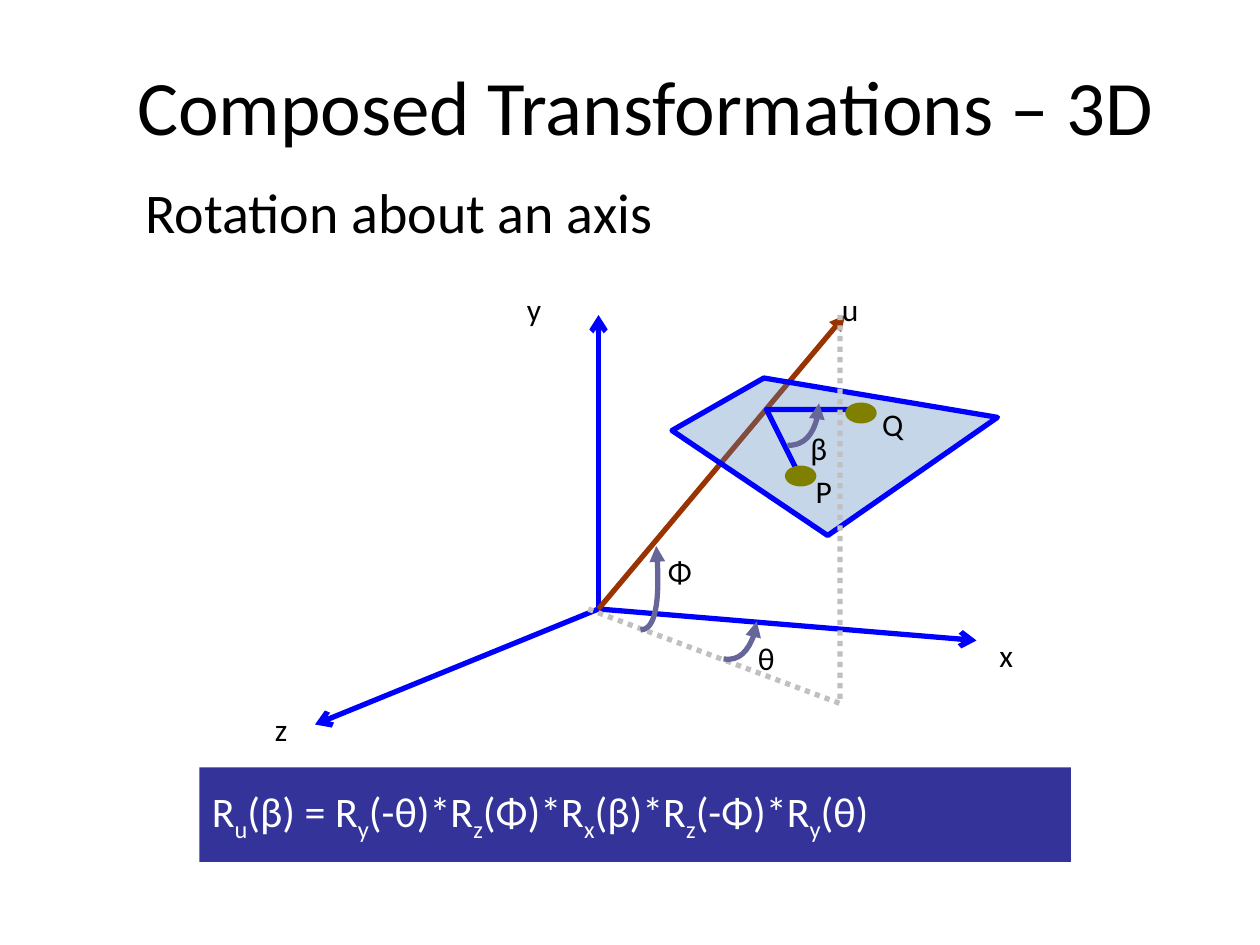
"""Build a slide on rotation about an axis in 3D."""
from dataclasses import dataclass
from lxml.etree import SubElement
from pptx import Presentation
from pptx.dml.color import RGBColor
from pptx.enum.dml import MSO_LINE
from pptx.enum.shapes import MSO_CONNECTOR, MSO_SHAPE
from pptx.enum.text import MSO_ANCHOR, PP_ALIGN
from pptx.oxml.ns import qn
from pptx.util import Pt


@dataclass(frozen=True)
class Theme:
    """Hold the colours, font and sizes."""
    font: str = "Calibri"
    ink: str = "000000"
    white: str = "FFFFFF"
    axis: str = "0000FF"
    ray: str = "993300"
    plane: str = "4F81BD"
    dot: str = "808000"
    arc: str = "666699"
    guide: str = "C0C0C0"
    bar: str = "333399"
    head: float = 44
    body: float = 32
    label: float = 18
    rule: float = 24
    line: float = 3


THEME = Theme()


def paint(fill, color, alpha=None):
    """Set a solid fill, with an optional opacity in percent."""
    fill.solid()
    fill.fore_color.rgb = RGBColor.from_string(color)
    if alpha is not None:
        tone = fill._xPr.find(qn("a:solidFill"))[0]
        SubElement(tone, qn("a:alpha"), val=str(alpha * 1000))


def stroke(line, color, tip=None):
    """Set the line colour and width, with an optional end arrow."""
    paint(line.fill, color)
    line.width = Pt(THEME.line)
    if tip:
        SubElement(line._get_or_add_ln(), qn("a:tailEnd"), type=tip)


def write(shape, runs, size, color, align=PP_ALIGN.LEFT, anchor=MSO_ANCHOR.TOP):
    """Add (text, is sub) runs to a shape and return the paragraph."""
    frame = shape.text_frame
    frame.word_wrap = True
    frame.vertical_anchor = anchor
    para = frame.paragraphs[0]
    para.alignment = align
    for text, sub in runs:
        run = para.add_run()
        run.text = text
        run.font.name = THEME.font
        run.font.size = Pt(size)
        run.font.color.rgb = RGBColor.from_string(color)
        if sub:
            run._r.get_or_add_rPr().set("baseline", "-25000")
    return para


def text(slide, box, words, size, **style):
    """Add a text box with one run."""
    shape = slide.shapes.add_textbox(*map(Pt, box))
    return write(shape, [(words, False)], size, THEME.ink, **style)


def arrow(slide, start, end, color, tip):
    """Add a straight arrow."""
    link = slide.shapes.add_connector(
        MSO_CONNECTOR.STRAIGHT, *map(Pt, start + end))
    stroke(link.line, color, tip)
    SubElement(link._element.spPr, qn("a:effectLst"))


def path(slide, points, color, close=False, tip=None):
    """Add an outline through the points, without a fill."""
    first, *rest = [(Pt(x), Pt(y)) for x, y in points]
    form = slide.shapes.build_freeform(*first)
    form.add_line_segments(rest, close=close)
    shape = form.convert_to_shape()
    shape.shadow.inherit = False
    shape.fill.background()
    stroke(shape.line, color, tip)
    return shape


def curve(slide, points):
    """Add a curved arrow from one start, two control and one end point."""
    shape = path(slide, points, THEME.arc, tip="triangle")
    track = next(shape._element.iter(qn("a:path")))
    bend = SubElement(track, qn("a:cubicBezTo"))
    for step in track.findall(qn("a:lnTo")):
        bend.append(step[0])
        track.remove(step)


def solid(slide, kind, box, color):
    """Add a filled shape without an outline."""
    shape = slide.shapes.add_shape(kind, *map(Pt, box))
    shape.shadow.inherit = False
    paint(shape.fill, color)
    shape.line.fill.background()
    return shape


def axes(slide):
    """Draw the three axes and the ray u."""
    base = (342, 348)
    for end in ((342, 180), (558, 366), (180, 414)):
        arrow(slide, base, end, THEME.axis, "arrow")
    arrow(slide, base, (483, 180), THEME.ray, "triangle")


def plane(slide):
    """Draw the plane with its two points and the guide lines."""
    quad = [(384, 246), (436.5, 216), (570, 223 + 15.5), (473, 306)]
    paint(path(slide, quad, THEME.axis, close=True).fill, THEME.plane, 32)
    path(slide, [(456, 270), (438, 234), (492, 234)], THEME.axis)
    for left, top in ((483, 230), (448.5, 266)):
        solid(slide, MSO_SHAPE.OVAL, (left, top, 18, 12), THEME.dot)
    guide = path(slide, [(480, 180), (480, 402), (336, 348)], THEME.guide)
    guide.line.dash_style = MSO_LINE.ROUND_DOT


def arcs(slide):
    """Draw the three angle arrows."""
    for points in (
        [(450, 254.5), (460, 254.5), (468, 244), (468, 230.5)],
        [(366, 360), (373, 360), (378, 347), (375, 312)],
        [(413.5, 376.5), (422.5, 378), (431.5, 368), (432.5, 355)],
    ):
        curve(slide, points)


def labels(slide):
    """Name the axes, angles and points."""
    for words, left, top in (
        ("P", 459, 266), ("Q", 497, 228), ("u", 474, 162),
        ("Φ", 374.5, 312), ("θ", 426, 361.5), ("β", 456, 241.5),
        ("x", 564, 360), ("y", 294, 162), ("z", 150, 402),
    ):
        text(slide, (left, top, 30, 29), words, THEME.label)


def rule(slide):
    """Add the bar with the formula."""
    bar = solid(slide, MSO_SHAPE.RECTANGLE, (114, 438.5, 498, 54), THEME.bar)
    parts = ("R", "u", "(β) = R", "y", "(-θ)*R", "z", "(Φ)*R", "x",
             "(β)*R", "z", "(-Φ)*R", "y", "(θ)")
    runs = [(part, spot % 2 == 1) for spot, part in enumerate(parts)]
    write(bar, runs, THEME.rule, THEME.white, anchor=MSO_ANCHOR.MIDDLE)


def main():
    """Build and save the slide."""
    deck = Presentation()
    deck.slide_width, deck.slide_height = Pt(720), Pt(540)
    slide = deck.slides.add_slide(deck.slide_layouts[6])
    text(slide, (18, 30, 702, 60), "Composed Transformations – 3D",
         THEME.head, align=PP_ALIGN.CENTER, anchor=MSO_ANCHOR.MIDDLE)
    para = text(slide, (54, 102, 348, 42), "Rotation about an axis",
                THEME.body, align=PP_ALIGN.CENTER)
    para.line_spacing = 0.9
    for draw in (axes, plane, arcs, labels, rule):
        draw(slide)
    deck.save("out.pptx")


main()
